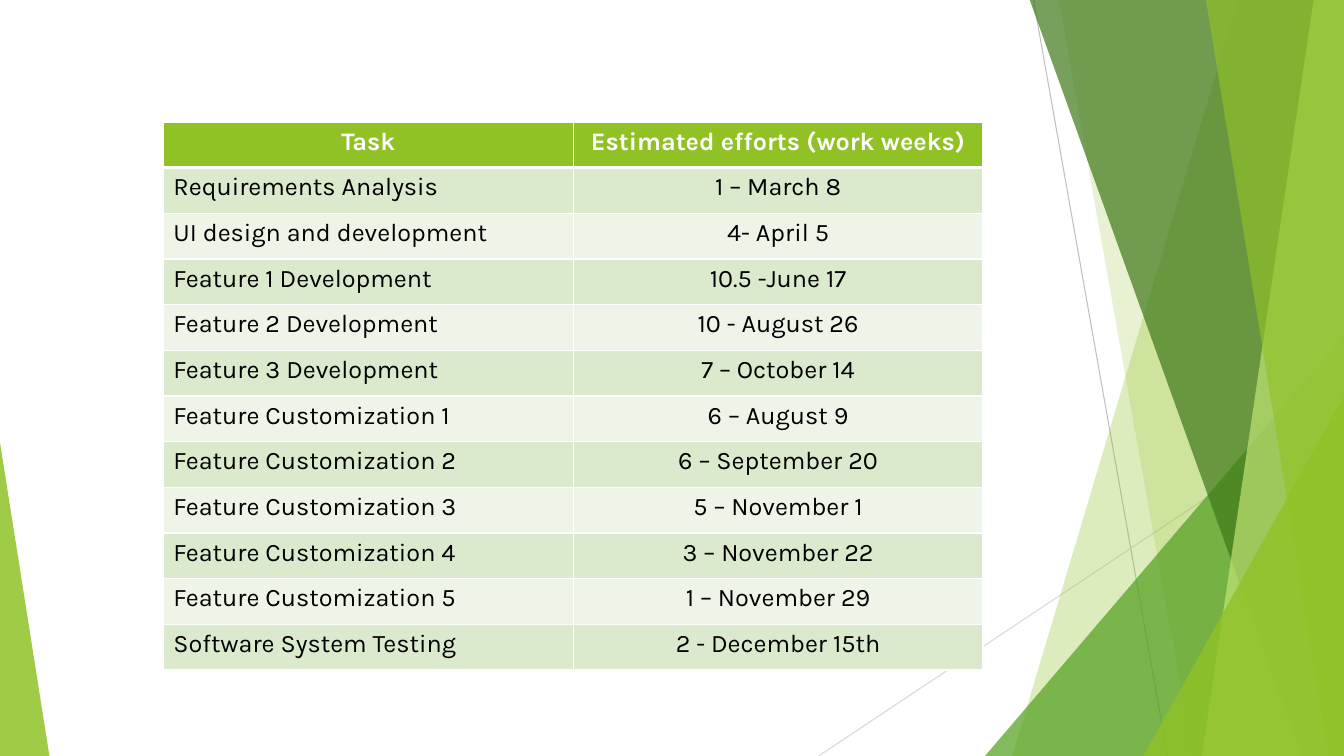
from lxml import etree
from pptx import Presentation
from pptx.dml.color import RGBColor
from pptx.enum import shapes, text
from pptx.oxml import ns
from pptx.util import Inches, Pt

WHITE = RGBColor(0xFF, 0xFF, 0xFF)
BLACK = RGBColor(0x00, 0x00, 0x00)
LIME = RGBColor(0x90, 0xC2, 0x26)
PALE_LIME = RGBColor(0xC0, 0xE4, 0x74)
GREEN = RGBColor(0x54, 0xA0, 0x21)
DARK_GREEN = RGBColor(0x3F, 0x78, 0x19)
BAND_DARK = RGBColor(0xDB, 0xE9, 0xCD)
BAND_LIGHT = RGBColor(0xEE, 0xF4, 0xE8)
GRAY = RGBColor(0xBF, 0xBF, 0xBF)
LIGHT_GRAY = RGBColor(0xD9, 0xD9, 0xD9)

WIDTH, HEIGHT = 13.33, 7.5
PANE_TOP = -0.01


def paint(shape, color, opacity):
    """Fill a shape with a see-through colour, without outline or shadow."""
    shape.shadow.inherit = False
    shape.line.fill.background()
    shape.fill.solid()
    shape.fill.fore_color.rgb = color
    color_element = shape.fill._xPr.find(".//" + ns.qn("a:srgbClr"))
    etree.SubElement(color_element, ns.qn("a:alpha"), val=str(opacity * 1000))


def add_border(cell, side, points):
    """Draw one white cell border; must be called before the cell is filled."""
    properties = cell._tc.get_or_add_tcPr()
    line = etree.SubElement(properties, ns.qn("a:ln" + side), w=str(Pt(points)))
    fill = etree.SubElement(line, ns.qn("a:solidFill"))
    etree.SubElement(fill, ns.qn("a:srgbClr"), val=str(WHITE))


presentation = Presentation()
presentation.slide_width = Inches(WIDTH)
presentation.slide_height = Inches(HEIGHT)
slide = presentation.slides.add_slide(presentation.slide_layouts[6])

# Thin lines behind the panes
for start_x, start_y, end_x, color in [
    (10.25, 0, 11.58, GRAY),
    (WIDTH, 4.03, 8.12, LIGHT_GRAY),
]:
    connector = slide.shapes.add_connector(
        shapes.MSO_CONNECTOR.STRAIGHT,
        Inches(start_x), Inches(start_y), Inches(end_x), Inches(HEIGHT),
    )
    connector.line.color.rgb = color
    connector.line.width = Pt(0.75)
    etree.SubElement(connector._element.spPr, ns.qn("a:effectLst"))

# Panes reach the right edge: top-left x, bottom-left x.
# Triangles stand on the bottom edge: left, top, width, apex.
for geometry, color, opacity in [
    ((12.28, 10.04), LIME, 30),
    ((10.5, 11.83), LIME, 20),
    ((9.77, 3.33, 3.56, 1), GREEN, 72),
    ((10.21, 12.91), DARK_GREEN, 70),
    ((13.03, 11.92), PALE_LIME, 70),
    ((11.96, 13.18), LIME, 65),
    ((11.34, 3.93, 1.99, 1), LIME, 80),
    ((0, 4.39, 0.49, 0), LIME, 85),
]:
    if len(geometry) == 2:
        top_x, bottom_x = geometry
        corners = [(WIDTH, PANE_TOP), (WIDTH, HEIGHT), (bottom_x, HEIGHT)]
        builder = slide.shapes.build_freeform(Inches(top_x), Inches(PANE_TOP))
        builder.add_line_segments([(Inches(x), Inches(y)) for x, y in corners])
        shape = builder.convert_to_shape()
    else:
        left, top, width, apex = geometry
        shape = slide.shapes.add_shape(
            shapes.MSO_SHAPE.ISOSCELES_TRIANGLE,
            Inches(left), Inches(top), Inches(width), Inches(HEIGHT - top),
        )
        shape.adjustments[0] = apex
    paint(shape, color, opacity)

# Effort table
efforts = [
    ("Task", "Estimated efforts (work weeks)"),
    ("Requirements Analysis", "1 – March 8"),
    ("UI design and development", "4- April 5"),
    ("Feature 1 Development", "10.5 -June 17"),
    ("Feature 2 Development", "10 - August 26"),
    ("Feature 3 Development", "7 – October 14"),
    ("Feature Customization 1", "6 – August 9"),
    ("Feature Customization 2", "6 – September 20"),
    ("Feature Customization 3", "5 – November 1"),
    ("Feature Customization 4", "3 – November 22"),
    ("Feature Customization 5", "1 – November 29"),
    ("Software System Testing", "2 - December 15th"),
]
table = slide.shapes.add_table(
    len(efforts), 2, Inches(1.62), Inches(1.21), Inches(8.13), Inches(5.44)
).table

for row, entries in enumerate(efforts):
    is_header = row == 0
    if is_header:
        background = LIME
    else:
        background = BAND_DARK if row % 2 else BAND_LIGHT
    for column, entry in enumerate(entries):
        cell = table.cell(row, column)
        for side in "LRTB":
            below_header = (row, side) in [(0, "B"), (1, "T")]
            add_border(cell, side, 3 if below_header else 1)
        cell.fill.solid()
        cell.fill.fore_color.rgb = background
        paragraph = cell.text_frame.paragraphs[0]
        if is_header or column == 1:
            paragraph.alignment = text.PP_ALIGN.CENTER
        run = paragraph.add_run()
        run.text = entry
        run.font.name = "Karla"
        run.font.size = Pt(18)
        run.font.bold = is_header
        run.font.color.rgb = WHITE if is_header else BLACK

presentation.save("out.pptx")
